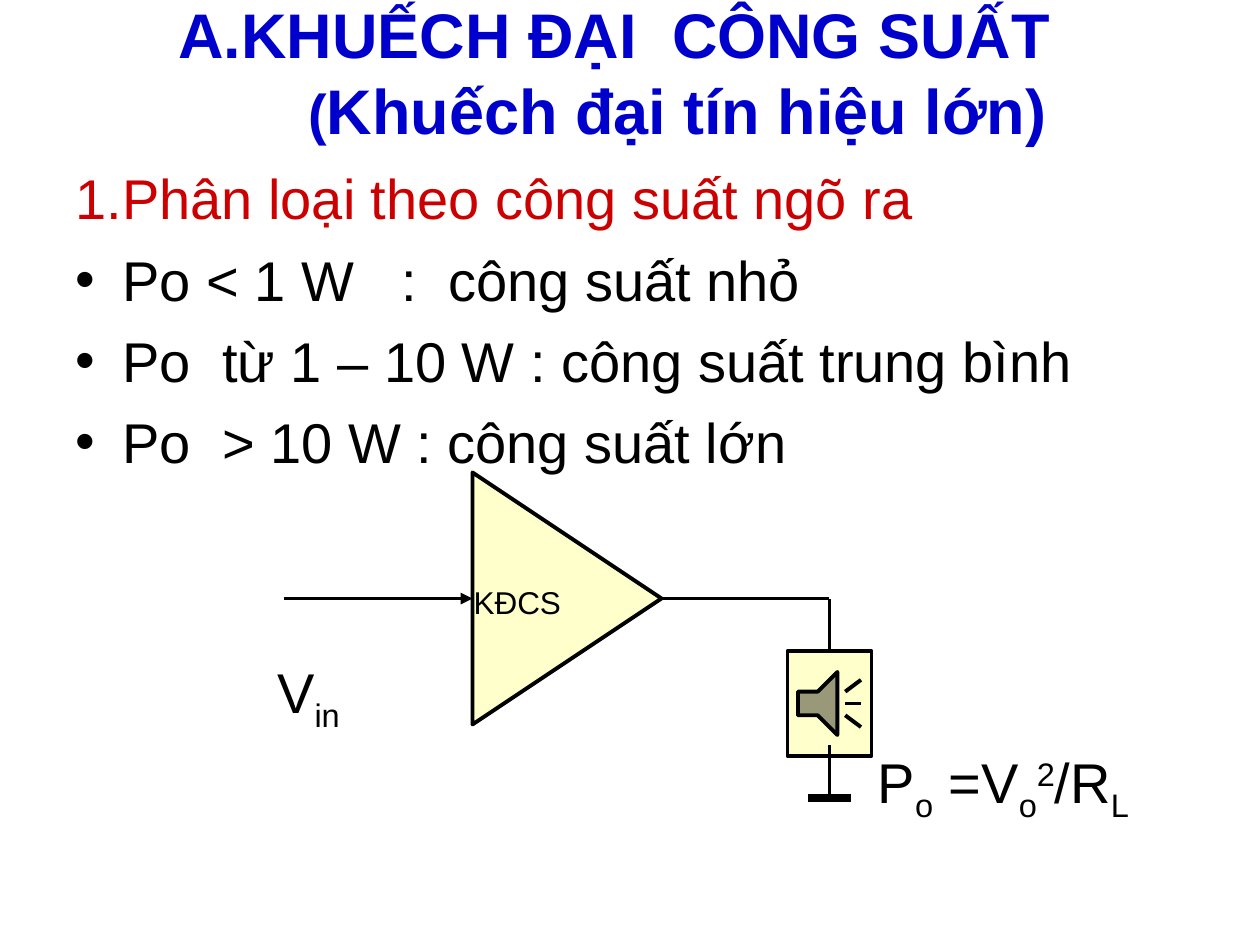
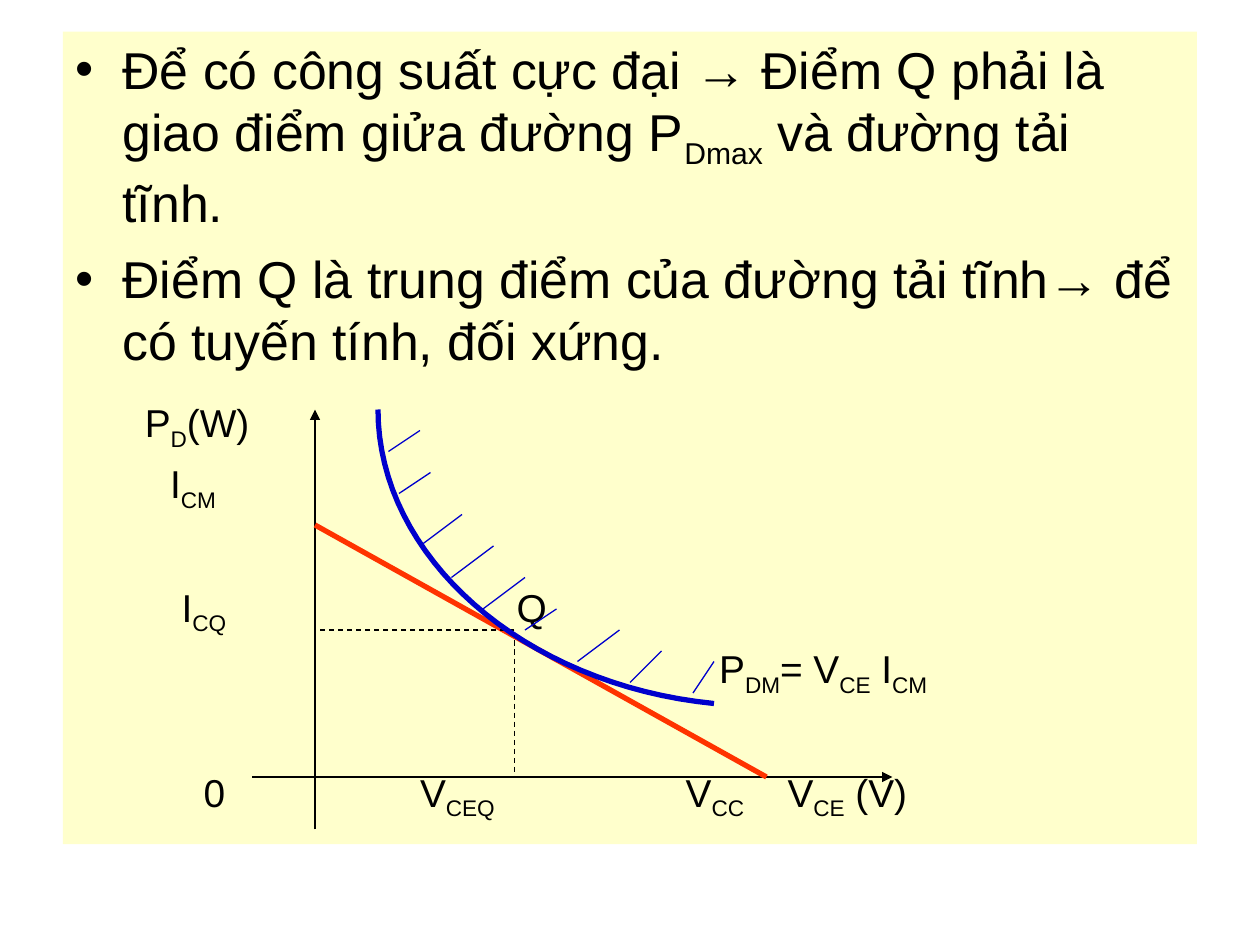
import dataclasses

import pptx
import pptx.dml.color
import pptx.enum.dml
import pptx.enum.shapes
import pptx.enum.text
import pptx.oxml.ns
import pptx.util
from lxml import etree

Cm, Pt = pptx.util.Cm, pptx.util.Pt
SHAPE = pptx.enum.shapes.MSO_SHAPE
ALIGN = pptx.enum.text.PP_ALIGN
ANCHOR = pptx.enum.text.MSO_ANCHOR


@dataclasses.dataclass(frozen=True)
class Theme:
    font: str = "Arial"
    black: str = "000000"
    blue: str = "0000CC"
    heading: str = "CC0000"
    load: str = "FF3300"
    cream: str = "FFFFCC"
    title: float = 36
    bracket: float = 32
    body: float = 32
    note: float = 29.6
    axis: float = 22.2
    block: float = 18


@dataclasses.dataclass(frozen=True)
class Span:
    text: str
    base: int = 0        # percent above or below the baseline
    gap: float = 0       # extra points after each letter
    size: float = 0      # 0 keeps the size of the paragraph


def sub(text):
    return Span(text, base=-25)


def wide(points):
    return Span(" ", gap=points)


THEME = Theme()
GRID = 2.54 / 12         # both drawings sit on a grid of this many cm
ROW = 5.87               # distance between label rows, in grid steps
FIRST_ROW = 41.3

# ---- Content: slide 1 ----
TITLE = ["A.KHUẾCH ĐẠI", wide(10), "CÔNG SUẤT\v",
         Span("(", size=THEME.bracket), "Khuếch đại tín hiệu lớn)"]
HEADING = ["1.Phân loại theo công suất ngõ ra"]
CLASSES = [
    ["Po < 1 W", wide(17.8), ":", wide(8.9), "công suất nhỏ"],
    ["Po", wide(8.9), "từ 1 – 10 W : công suất trung bình"],
    ["Po", wide(8.9), "> 10 W : công suất lớn"],
]
CIRCUIT_LABELS = [       # spans, left, baseline, size
    (["KĐCS"], 45.1, 58.2, THEME.block),
    (["V", sub("in")], 26.4, 67.4, THEME.body),
    (["P", sub("o"), " =V", sub("o"), Span("2", base=30), "/R", sub("L")],
     83.6, 76, THEME.body),
]
INPUT_WIRE = (27, 57, 45, 57)
WIRES = [(63, 57, 79, 57), (79, 62, 79, 57), (79, 71, 79, 76)]
GROUND = (77, 76, 81, 76)

# ---- Content: slide 2 ----
NOTES = [
    ["Để có công suất cực đại → Điểm Q phải là giao điểm giửa đường P",
     sub("Dmax"), " và đường tải tĩnh."],
    ["Điểm Q là trung điểm của đường tải tĩnh→ để có tuyến tính, đối xứng."],
]
GRAPH_LABELS = [         # spans, left, row
    (["P", sub("D"), "(W)"], 13.8, 0),
    (["I", sub("CM")], 16.2, 1),
    (["I", sub("CQ")], 17.3, 3),
    (["Q"], 49.2, 3),
    (["P", sub("DM"), "= V", sub("CE"), " I", sub("CM")], 68.5, 4),
    (["0"], 19.4, 6),
    (["V", sub("CEQ")], 40, 6),
    (["V", sub("CC")], 65.3, 6),
    (["V", sub("CE"), " (V)"], 75, 6),
]
AXES = [(30, 79, 30, 39), (24, 74, 85, 74)]
LOAD_LINE = (30, 50, 73, 74)
GUIDES = [(49, 60, 30, 60), (49, 61, 49, 74)]
HATCHES = [(37, 43, 40, 41), (38, 47, 41, 45), (40, 52, 44, 49),
           (43, 55, 47, 52), (46, 58, 50, 55), (50, 60, 53, 58),
           (55, 63, 59, 60), (60, 65, 63, 62), (66, 66, 68, 63)]
POWER_CURVE = [(68, 67), (49.8, 65.2), (36, 53), (36, 39)]
CURVE_STEPS = 32


# ---- Helpers ----
def grid(*steps):
    return [Cm(step * GRID) for step in steps]


def colour(code):
    return pptx.dml.color.RGBColor.from_string(code)


def add_xml(parent, tag, **attributes):
    return etree.SubElement(parent, pptx.oxml.ns.qn(tag), attributes)


def set_frame(frame, inset=(0.25, 0.13), anchor=ANCHOR.TOP):
    frame.word_wrap = True
    frame.auto_size = pptx.enum.text.MSO_AUTO_SIZE.NONE
    frame.vertical_anchor = anchor
    frame.margin_left = frame.margin_right = Cm(inset[0])
    frame.margin_top = frame.margin_bottom = Cm(inset[1])


def write(frame, spans, *, size, color=THEME.black, bold=False, before=0,
          hanging=0, bullet=False, align=ALIGN.LEFT):
    """Add one paragraph; the first call fills the empty one."""
    para = frame.paragraphs[0]
    if para.runs:
        para = frame.add_paragraph()
    para.alignment = align
    para.space_before = Pt(before)
    properties = para._p.get_or_add_pPr()
    properties.set("marL", str(Cm(hanging)))
    properties.set("indent", str(-Cm(hanging)))
    if bullet:
        add_xml(properties, "a:buFont", typeface=THEME.font)
        add_xml(properties, "a:buChar", char="•")
    else:
        add_xml(properties, "a:buNone")
    for part in spans:
        span = part if isinstance(part, Span) else Span(part)
        pieces = span.text.split("\v")
        for index, piece in enumerate(pieces):
            if index:
                para.add_line_break()
            if not piece:
                continue
            run = para.add_run()
            run.text = piece
            run.font.name = THEME.font
            run.font.size = Pt(span.size or size)
            run.font.bold = bold
            run.font.color.rgb = colour(color)
            if span.base:
                run.font._element.set("baseline", str(span.base * 1000))
            if span.gap:
                run.font._element.set("spc", str(round(span.gap * 100)))


def add_label(page, spans, left, baseline, size):
    letters = sum(len(getattr(span, "text", span)) for span in spans)
    x, y = grid(left, baseline)
    box = page.shapes.add_textbox(x, y - Pt(size * 0.905),
                                  Pt(size * (letters + 1) * 0.75), Pt(size * 1.2))
    set_frame(box.text_frame, inset=(0, 0))
    write(box.text_frame, spans, size=size)


def add_block(page, kind, place, outline=True):
    block = page.shapes.add_shape(kind, *grid(*place))
    block.shadow.inherit = False
    block.fill.solid()
    block.fill.fore_color.rgb = colour(THEME.cream)
    if outline:
        block.line.color.rgb = colour(THEME.black)
        block.line.width = Pt(2.25)
    else:
        block.line.fill.background()
    return block


def add_line(page, ends, *, width=0.75, color=THEME.black, arrow=False, dash=False):
    line = page.shapes.add_connector(pptx.enum.shapes.MSO_CONNECTOR.STRAIGHT,
                                     *grid(*ends))
    line.line.color.rgb = colour(color)
    line.line.width = Pt(width)
    if dash:
        line.line.dash_style = pptx.enum.dml.MSO_LINE.DASH
    if arrow:
        add_xml(line.line._get_or_add_ln(), "a:tailEnd", type="triangle")
    add_xml(line._element.spPr, "a:effectLst")


def add_curve(page, controls, *, width, color):
    points = []
    for step in range(CURVE_STEPS + 1):
        t = step / CURVE_STEPS
        weights = ((1 - t) ** 3, 3 * t * (1 - t) ** 2, 3 * t * t * (1 - t), t ** 3)
        points.append(grid(*(sum(w * point[axis] for w, point in zip(weights, controls))
                             for axis in (0, 1))))
    builder = page.shapes.build_freeform(*points[0])
    builder.add_line_segments(points[1:], close=False)
    curve = builder.convert_to_shape()
    curve.shadow.inherit = False
    curve.fill.background()
    curve.line.color.rgb = colour(color)
    curve.line.width = Pt(width)


# ---- Slides ----
def build_amplifier(deck):
    page = deck.slides.add_slide(deck.slide_layouts[5])
    title = page.shapes.title
    title.left, title.top, title.width, title.height = grid(3, 3.6, 111, 6.4)
    set_frame(title.text_frame, anchor=ANCHOR.MIDDLE)
    write(title.text_frame, TITLE, size=THEME.title, color=THEME.blue, bold=True,
          hanging=2.56, align=ALIGN.CENTER)

    body = page.shapes.add_textbox(*grid(6, 15, 108, 33))
    set_frame(body.text_frame)
    write(body.text_frame, HEADING, size=THEME.body, color=THEME.heading, hanging=0.95)
    for spans in CLASSES:
        write(body.text_frame, spans, size=THEME.body, before=8, hanging=0.95,
              bullet=True)

    # Amplifier, loudspeaker and wiring
    amplifier = add_block(page, SHAPE.ISOSCELES_TRIANGLE, (42, 48, 24, 18))
    amplifier.rotation = 90
    add_line(page, INPUT_WIRE, width=2.25, arrow=True)
    add_block(page, SHAPE.ACTION_BUTTON_SOUND, (75, 62, 8, 10))
    for ends in WIRES:
        add_line(page, ends, width=2.25)
    add_line(page, GROUND, width=4.5)
    for label in CIRCUIT_LABELS:
        add_label(page, *label)


def build_load_line(deck):
    page = deck.slides.add_slide(deck.slide_layouts[6])
    panel = add_block(page, SHAPE.RECTANGLE, (6, 3, 108, 77.4), outline=False)
    set_frame(panel.text_frame)
    for index, spans in enumerate(NOTES):
        write(panel.text_frame, spans, size=THEME.note, before=8 if index else 0,
              hanging=0.95, bullet=True)

    # Graph
    for spans, left, row in GRAPH_LABELS:
        add_label(page, spans, left, FIRST_ROW + row * ROW, THEME.axis)
    for ends in AXES:
        add_line(page, ends, arrow=True)
    add_line(page, LOAD_LINE, width=3, color=THEME.load)
    for ends in GUIDES:
        add_line(page, ends, dash=True)
    for ends in HATCHES:
        add_line(page, ends, color=THEME.blue)
    add_curve(page, POWER_CURVE, width=3, color=THEME.blue)


def main():
    deck = pptx.Presentation()
    deck.slide_width, deck.slide_height = Cm(25.4), Cm(19.05)
    build_amplifier(deck)
    build_load_line(deck)
    deck.save("out.pptx")


if __name__ == "__main__":
    main()
